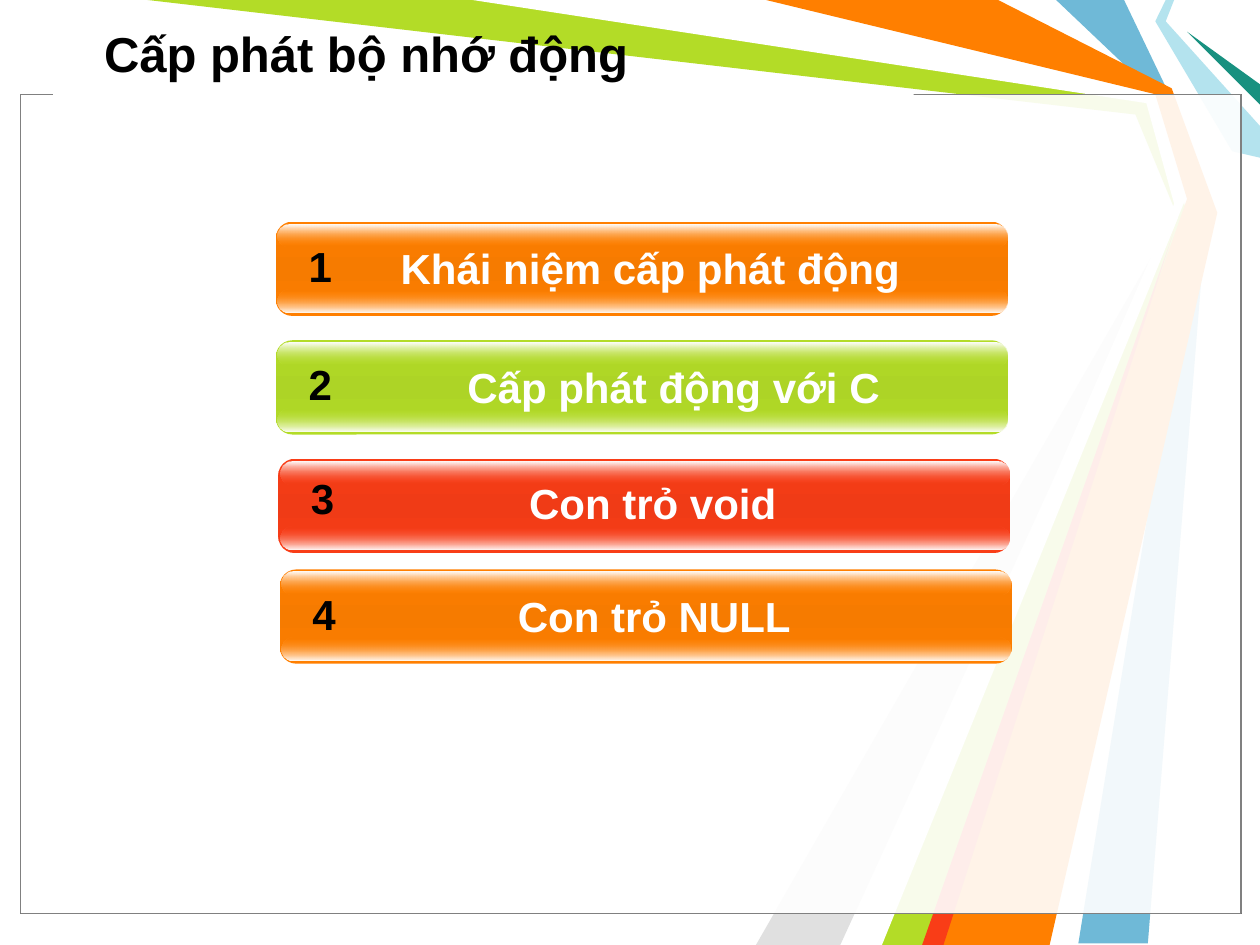
import pptx
import pptx.dml.color
import pptx.enum.shapes
import pptx.enum.text
import pptx.oxml
import pptx.oxml.ns
import pptx.util

Cm = pptx.util.Cm
RGBColor = pptx.dml.color.RGBColor
SHAPES = pptx.enum.shapes.MSO_SHAPE
ALIGN = pptx.enum.text.PP_ALIGN
ANCHOR = pptx.enum.text.MSO_ANCHOR

WHITE = RGBColor(0xFF, 0xFF, 0xFF)
BLACK = RGBColor(0x00, 0x00, 0x00)
FRAME_GREY = RGBColor(0x80, 0x80, 0x80)
PALE_GREY = RGBColor(0xE0, 0xE0, 0xE0)
BLUE = RGBColor(0x6F, 0xB9, 0xD7)
PALE_BLUE = RGBColor(0xB4, 0xE3, 0xEE)
TEAL = RGBColor(0x18, 0x91, 0x80)
GREEN = RGBColor(0xB3, 0xDC, 0x27)
GREEN_SHADE = RGBColor(0xAD, 0xD4, 0x26)
ORANGE = RGBColor(0xFF, 0x7F, 0x00)
ORANGE_SHADE = RGBColor(0xF6, 0x7B, 0x00)
RED = RGBColor(0xF9, 0x3D, 0x17)
RED_SHADE = RGBColor(0xF0, 0x3B, 0x16)

WIDTH, HEIGHT = 25.4, 19.05

# Background ribbons from back to front: colour and corner points in cm
RIBBONS = [
    (BLUE, [(22.66, 0), (23.6, 1.96), (24.33, 4.24), (23.14, 19.02),
            (21.74, 19.02), (24.13, 4.24), (23.29, 1.9), (21.29, 0)]),
    (GREEN, [(2.97, 0), (9.73, 0), (23.22, 1.98), (23.93, 4.29),
             (18.85, HEIGHT), (17.58, HEIGHT), (23.75, 4.39), (22.89, 2.31)]),
    (PALE_GREY, [(16.94, HEIGHT), (23.55, 4.6), (15.24, HEIGHT)]),
    (WHITE, [(9.52, 0), (23.11, 2.08), (23.67, 4.11), (17.14, HEIGHT),
             (17.78, HEIGHT), (23.9, 4.01), (23.29, 1.9), (15.24, 0)]),
    (PALE_BLUE, [(23.5, 0), (23.29, 0.43), (24.84, 3.05), (WIDTH, 3.18),
                 (WIDTH, 2.54), (23.5, 0.43), (23.67, 0)]),
    (TEAL, [(WIDTH, 2.11), (23.93, 0.64), (WIDTH, 1.7)]),
    (ORANGE, [(15.44, 0), (20.12, 0), (23.62, 1.78), (24.54, 4.29),
              (21.16, HEIGHT), (18.62, HEIGHT), (23.93, 4.01), (23.29, 1.9)]),
    (RED, [(18.59, HEIGHT), (23.67, 4.65), (19.02, HEIGHT)]),
]

# Agenda bars: text, colours, left, top, label width, label and number drop
AGENDA = [
    ("Khái niệm cấp phát động", ORANGE, ORANGE_SHADE, 5.56, 4.47, 12.5, 0.3, 0.25),
    ("Cấp phát động với C", GREEN, GREEN_SHADE, 5.56, 6.86, 13.44, 0.3, 0.25),
    ("Con trỏ void", RED, RED_SHADE, 5.61, 9.25, 12.5, 0.25, 0.15),
    ("Con trỏ NULL", ORANGE, ORANGE_SHADE, 5.64, 11.48, 12.5, 0.3, 0.25),
]


def add_box(slide, kind, left, top, width, height):
    shape = slide.shapes.add_shape(kind, Cm(left), Cm(top), Cm(width), Cm(height))
    shape.shadow.inherit = False
    shape.line.fill.background()
    return shape


def fill_solid(shape, color):
    shape.fill.solid()
    shape.fill.fore_color.rgb = color


def fill_vertical_gradient(shape, stops):
    """Fill from top to bottom; each stop is (percent, colour, opacity percent)."""
    stop_xml = "".join(
        f'<a:gs pos="{position * 1000}"><a:srgbClr val="{color}">'
        f'<a:alpha val="{opacity * 1000}"/></a:srgbClr></a:gs>'
        for position, color, opacity in stops)
    gradient = pptx.oxml.parse_xml(
        f'<a:gradFill {pptx.oxml.ns.nsdecls("a")} rotWithShape="1">'
        f'<a:gsLst>{stop_xml}</a:gsLst><a:lin ang="5400000" scaled="1"/></a:gradFill>')
    shape.fill.background()
    properties = shape._element.spPr
    properties.replace(properties.find(pptx.oxml.ns.qn("a:noFill")), gradient)


def add_text(slide, text, left, top, width, height, *, size=24, color=BLACK,
             align=ALIGN.CENTER, anchor=ANCHOR.TOP):
    text_box = slide.shapes.add_textbox(Cm(left), Cm(top), Cm(width), Cm(height))
    frame = text_box.text_frame
    frame.word_wrap = True
    frame.vertical_anchor = anchor
    paragraph = frame.paragraphs[0]
    paragraph.text = text
    paragraph.alignment = align
    font = paragraph.runs[0].font
    font.name = "Arial"
    font.size = pptx.util.Pt(size)
    font.bold = True
    font.color.rgb = color


def draw_ribbons(slide):
    for color, points in RIBBONS:
        corners = [(Cm(x), Cm(y)) for x, y in points]
        builder = slide.shapes.build_freeform(*corners[0], scale=1.0)
        builder.add_line_segments(corners[1:], close=True)
        ribbon = builder.convert_to_shape()
        ribbon.shadow.inherit = False
        ribbon.line.fill.background()
        fill_solid(ribbon, color)


def draw_panel(slide, left, top, width, height):
    # Two translucent sheets, the upper one carrying the visible frame
    for line_color in (BLACK, FRAME_GREY):
        sheet = add_box(slide, SHAPES.RECTANGLE, left, top, width, height)
        fill_vertical_gradient(sheet, [(0, WHITE, 69), (100, WHITE, 69)])
        sheet.line.color.rgb = line_color
        sheet.line.width = pptx.util.Pt(0.75)
    # Gap in the frame under the title
    gap = add_box(slide, SHAPES.RECTANGLE, left + 0.66, top - 0.02, 17.35, 0.43)
    fill_solid(gap, WHITE)


def draw_agenda_bar(slide, number, text, color, shade, left, top,
                    label_width, label_drop, number_drop):
    bar = add_box(slide, SHAPES.ROUNDED_RECTANGLE, left, top, 14.76, 1.9)
    bar.adjustments[0] = 0.175
    fill_vertical_gradient(bar, [(0, color, 100), (50, shade, 100), (100, color, 100)])
    # Glossy bottom and top edges
    for drop, stops in ((1.37, [(0, color, 0), (100, WHITE, 100)]),
                        (0.05, [(0, WHITE, 100), (100, color, 0)])):
        gloss = add_box(slide, SHAPES.ROUNDED_RECTANGLE, left + 0.04, top + drop, 14.7, 0.46)
        gloss.adjustments[0] = 0.5
        fill_vertical_gradient(gloss, stops)
    add_text(slide, text, left + 1.3, top + label_drop, label_width, 1.27, color=WHITE)
    add_text(slide, str(number), left + 0.36, top + number_drop, 1.07, 1.27)


def main():
    presentation = pptx.Presentation()
    presentation.slide_width = Cm(WIDTH)
    presentation.slide_height = Cm(HEIGHT)
    slide = presentation.slides.add_slide(presentation.slide_layouts[6])
    draw_ribbons(slide)
    draw_panel(slide, 0.41, 1.9, 24.61, 16.51)
    add_text(slide, "Cấp phát bộ nhớ động", 1.85, 0.2, 23.14, 1.75,
             size=28, align=ALIGN.LEFT, anchor=ANCHOR.MIDDLE)
    for number, item in enumerate(AGENDA, start=1):
        draw_agenda_bar(slide, number, *item)
    presentation.save("out.pptx")


if __name__ == "__main__":
    main()
